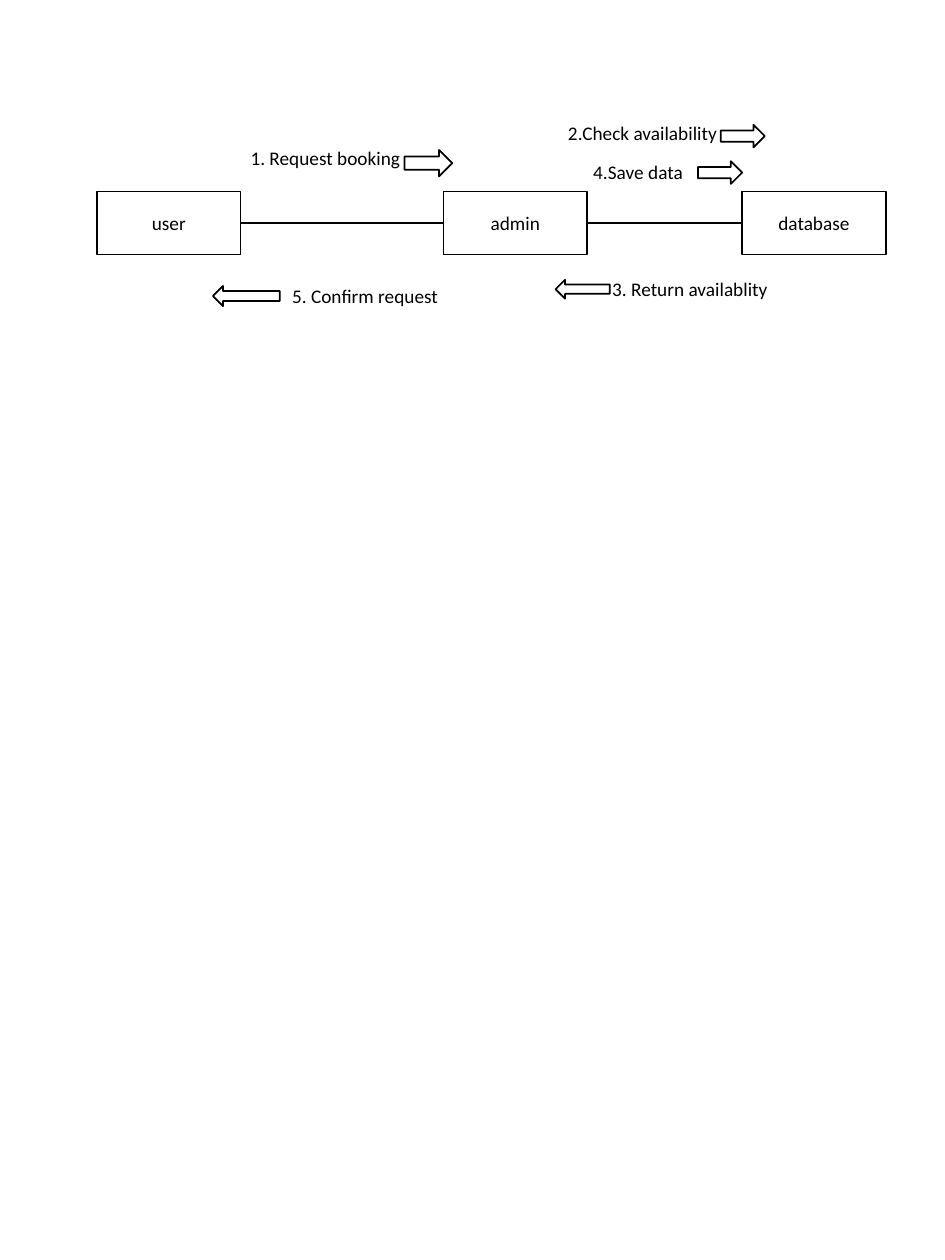
import pptx
import pptx.util
import pptx.dml.color
import pptx.enum.shapes
import pptx.enum.text
import pptx.oxml

Inches = pptx.util.Inches
Pt = pptx.util.Pt
SHAPES = pptx.enum.shapes.MSO_SHAPE
RIGHT, LEFT = SHAPES.RIGHT_ARROW, SHAPES.LEFT_ARROW

# Content
COLORS = {"ink": "000000", "paper": "FFFFFF"}
FONT, TEXT_SIZE, LINE_WIDTH = "Calibri", Pt(11), Pt(1)
BOX_TOP, BOX_WIDTH, BOX_HEIGHT, LABEL_HEIGHT = 1.52, 1.14, 0.5, 0.29

participants = [("user", 0.77), ("admin", 3.52), ("database", 5.89)]

# Text, label (left, top, width), wraps, arrow kind, arrow (left, top, width, height)
messages = [
    ("1. Request booking", (1.89, 1.11, 1.5), True, RIGHT, (3.21, 1.19, 0.38, 0.21)),
    ("2.Check availability", (4.41, 0.91, 1.4), False, RIGHT, (5.72, 0.99, 0.35, 0.18)),
    ("3. Return availablity", (4.76, 2.15, 1.45), False, LEFT, (4.41, 2.22, 0.43, 0.15)),
    ("4.Save data", (4.61, 1.22, 0.92), False, RIGHT, (5.54, 1.28, 0.35, 0.18)),
    ("5. Confirm request", (2.22, 2.21, 1.37), False, LEFT, (1.69, 2.27, 0.53, 0.16)),
]


def color(name):
    return pptx.dml.color.RGBColor.from_string(COLORS[name])


def style_line(line):
    line.color.rgb = color("ink")
    line.width = LINE_WIDTH


def add_outlined_shape(kind, *bounds):
    shape = slide.shapes.add_shape(kind, *map(Inches, bounds))
    shape.shadow.inherit = False
    shape.fill.solid()
    shape.fill.fore_color.rgb = color("paper")
    style_line(shape.line)
    return shape


def write_text(shape, text, alignment):
    paragraph = shape.text_frame.paragraphs[0]
    paragraph.text = text
    paragraph.alignment = alignment
    font = paragraph.runs[0].font
    font.name, font.size = FONT, TEXT_SIZE
    font.color.rgb = color("ink")


presentation = pptx.Presentation()
presentation.slide_width, presentation.slide_height = Inches(7.5), Inches(10)
slide = presentation.slides.add_slide(presentation.slide_layouts[6])

# Participants
boxes = []
for name, left in participants:
    box = add_outlined_shape(SHAPES.RECTANGLE, left, BOX_TOP, BOX_WIDTH, BOX_HEIGHT)
    box.text_frame.vertical_anchor = pptx.enum.text.MSO_ANCHOR.MIDDLE
    write_text(box, name, pptx.enum.text.PP_ALIGN.CENTER)
    boxes.append(box)

# Messages: label and direction arrow
for text, (left, top, width), wraps, arrow_kind, arrow_bounds in messages:
    label = slide.shapes.add_textbox(*map(Inches, (left, top, width, LABEL_HEIGHT)))
    label.text_frame.word_wrap = wraps
    label.text_frame.auto_size = pptx.enum.text.MSO_AUTO_SIZE.SHAPE_TO_FIT_TEXT
    write_text(label, text, pptx.enum.text.PP_ALIGN.LEFT)
    add_outlined_shape(arrow_kind, *arrow_bounds)

# Links between neighbouring participants, right side to left side
for source, target in zip(boxes, boxes[1:]):
    link = slide.shapes.add_connector(pptx.enum.shapes.MSO_CONNECTOR.STRAIGHT, 0, 0, 0, 0)
    link.begin_connect(source, 3)
    link.end_connect(target, 1)
    style_line(link.line)
    properties = link._element.spPr
    properties.append(properties.makeelement(pptx.oxml.ns.qn("a:effectLst"), {}))

presentation.save("out.pptx")
